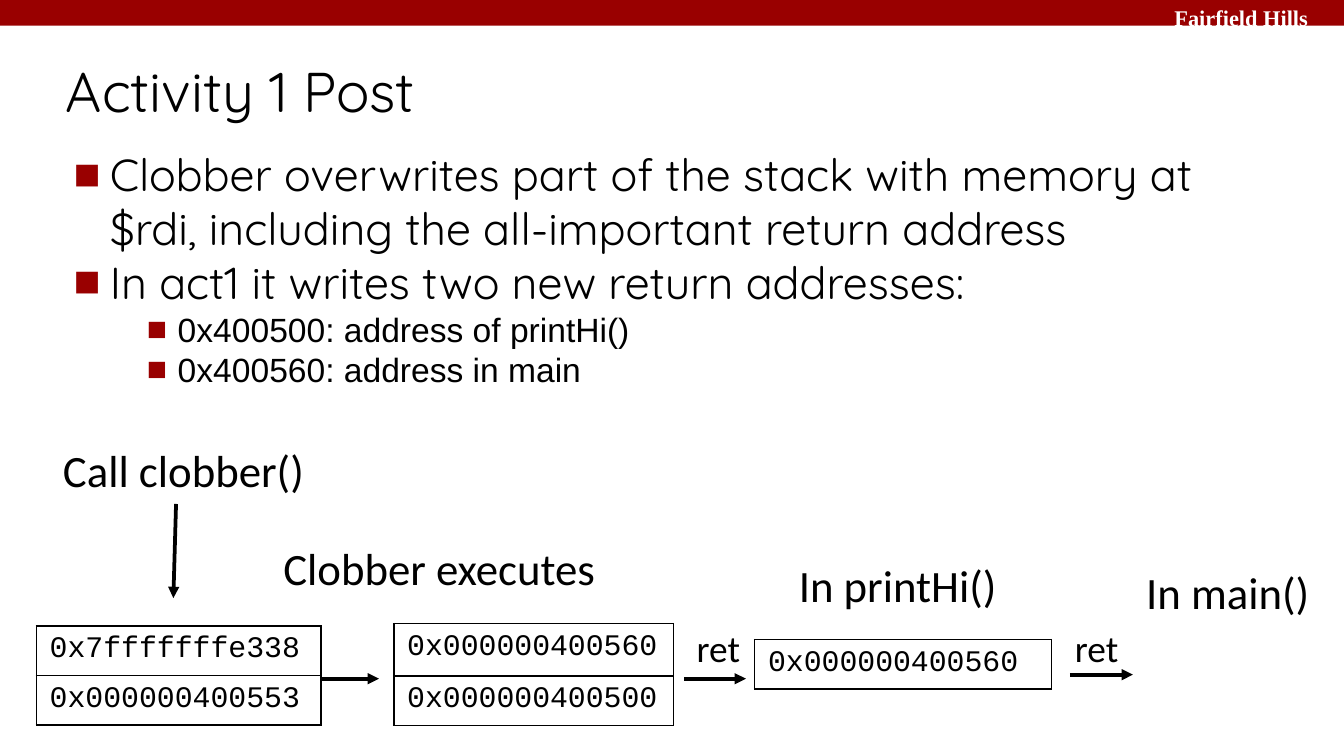
from lxml.etree import SubElement
from pptx import Presentation
from pptx.dml.color import RGBColor
from pptx.enum.shapes import MSO_CONNECTOR, MSO_SHAPE
from pptx.enum.text import MSO_ANCHOR, PP_ALIGN
from pptx.oxml.ns import qn
from pptx.util import Inches, Pt

RED, BLACK, WHITE = "990000", "000000", "FFFFFF"
COLUMN = 0.1  # the slide is a square grid, 100 columns wide


def grid(*lengths):
    return [Inches(length * COLUMN) for length in lengths]


def color(hex_text):
    return RGBColor.from_string(hex_text)


def element(parent, tag, **attributes):
    return SubElement(parent, qn(tag), {k: str(v) for k, v in attributes.items()})


def write(frame, text, size=24, font="Calibri", ink=BLACK, bold=False,
          level=0, hang=None, bullet=None, first=True):
    """Write one paragraph; hang is (left margin, indent) in columns."""
    paragraph = frame.paragraphs[0] if first else frame.add_paragraph()
    paragraph.alignment = PP_ALIGN.LEFT
    paragraph.level = level
    paragraph.space_before = Pt(0)
    run = paragraph.add_run()
    run.text = text
    run.font.size, run.font.name, run.font.bold = Pt(size), font, bold
    run.font.color.rgb = color(ink)
    properties = paragraph._p.get_or_add_pPr()
    if hang:
        margin, indent = grid(*hang)
        properties.set("marL", str(margin))
        properties.set("indent", str(indent))
    if bullet:
        element(element(properties, "a:buClr"), "a:srgbClr", val=RED)
        element(properties, "a:buFont", typeface="Arial")
        element(properties, "a:buChar", char=bullet)


def set_margins(frame, horizontal=1, vertical=1):
    frame.margin_left = frame.margin_right = grid(horizontal)[0]
    frame.margin_top = frame.margin_bottom = grid(vertical)[0]


def add_label(slide, box, text, **style):
    frame = slide.shapes.add_textbox(*grid(*box)).text_frame
    frame.word_wrap = False
    set_margins(frame, vertical=0.5)
    write(frame, text, **style)


def add_arrow(slide, start, end):
    arrow = slide.shapes.add_connector(MSO_CONNECTOR.STRAIGHT, *grid(*start, *end))
    arrow.line.color.rgb = color(BLACK)
    arrow.line.width = Pt(2)
    element(arrow.line._get_or_add_ln(), "a:tailEnd", type="triangle")
    element(arrow._element.spPr, "a:effectLst")


def add_stack(slide, left, top, width, row_heights, addresses):
    """A one-column table of stack slots."""
    box = grid(left, top, width, sum(row_heights))
    table = slide.shapes.add_table(len(addresses), 1, *box).table
    table.first_row = table.horz_banding = False
    for row, height, address in zip(table.rows, row_heights, addresses):
        row.height = grid(height)[0]
        cell = row.cells[0]
        set_margins(cell, vertical=0.5)
        write(cell.text_frame, address, size=16, font="Courier New")
        properties = cell._tc.get_or_add_tcPr()
        for side in ("a:lnL", "a:lnR", "a:lnT", "a:lnB"):
            border = element(properties, side, w=Pt(1))
            element(element(border, "a:solidFill"), "a:srgbClr", val=BLACK)
        cell.fill.background()


def add_banner(slide, left, top, width, height):
    bar = slide.shapes.add_shape(MSO_SHAPE.RECTANGLE, *grid(left, top, width, height))
    bar.shadow.inherit = False
    bar.fill.solid()
    bar.fill.fore_color.rgb = color(RED)
    bar.line.fill.background()
    add_label(slide, (left + width - 13.6, top - 0.2, 14.3, 2.3), "Fairfield Hills",
              size=12, font="Times New Roman", ink=WHITE, bold=True)


def add_title(slide, *box):
    title = slide.shapes.title
    title.left, title.top, title.width, title.height = grid(*box)
    frame = title.text_frame
    frame.word_wrap = True
    frame.vertical_anchor = MSO_ANCHOR.MIDDLE
    set_margins(frame)
    write(frame, "Activity 1 Post", size=30, font="Quicksand", hang=(1.3, -1.3))


def add_points(slide, *box):
    levels = [dict(size=24, font="Quicksand", hang=(3.8, -2.7)),
              dict(size=18, font="Arial", hang=(8.15, -1.6))]
    points = [
        (0, "Clobber overwrites part of the stack with memory at $rdi, "
            "including the all-important return address"),
        (0, "In act1 it writes two new return addresses:"),
        (1, " 0x400500: address of printHi()"),
        (1, " 0x400560: address in main"),
    ]
    frame = slide.shapes.add_textbox(*grid(*box)).text_frame
    frame.word_wrap = True
    set_margins(frame)
    for index, (level, text) in enumerate(points):
        write(frame, text, level=level, bullet="■", first=index == 0, **levels[level])


def add_stack_story(slide, left, top):
    """Stack contents from the call to main, offset from the region's corner."""
    def place(x, y, *size):
        return (left + x, top + y, *size)

    # Stack slots at each step
    stacks = [
        (0, 14.2, 21.2, (3.5, 3.5), ("0x7fffffffe338", "0x000000400553")),
        (26.6, 14, 20.8, (3.9, 3.5), ("0x000000400560", "0x000000400500")),
        (53.45, 15.2, 22.1, (3.5,), ("0x000000400560",)),
    ]
    for x, y, width, heights, addresses in stacks:
        add_stack(slide, *place(x, y, width), heights, addresses)

    # Step names and return labels
    labels = [
        ("Call clobber()", 1, 0.05, 20.1, 24), ("Clobber executes", 17.4, 7.35, 25.6, 24),
        ("In printHi()", 55.75, 8.6, 16.9, 24), ("In main()", 81.6, 9.1, 14.3, 24),
        ("ret", 48.15, 13.65, 5.3, 20), ("ret", 76.3, 13.6, 5.3, 20),
    ]
    for text, x, y, width, size in labels:
        add_label(slide, place(x, y, width, size / 5), text, size=size)

    # Arrows between steps
    arrows = [((10.4, 5.1), (10.2, 12.1)), ((21.2, 18.1), (25.5, 18.1)),
              ((48.2, 18.1), (52.8, 18.1)), ((76.9, 17.8), (81.6, 17.8))]
    for start, end in arrows:
        add_arrow(slide, place(*start), place(*end))


presentation = Presentation()
presentation.slide_width, presentation.slide_height = grid(100, 56.25)
slide = presentation.slides.add_slide(presentation.slide_layouts[5])
add_banner(slide, 0, 0, 100, 1.9)
add_title(slide, 3.9, 3.6, 83, 6.2)
add_points(slide, 3.4, 9.95, 90.7, 19.2)
add_stack_story(slide, 2.7, 32.4)
presentation.save("out.pptx")
